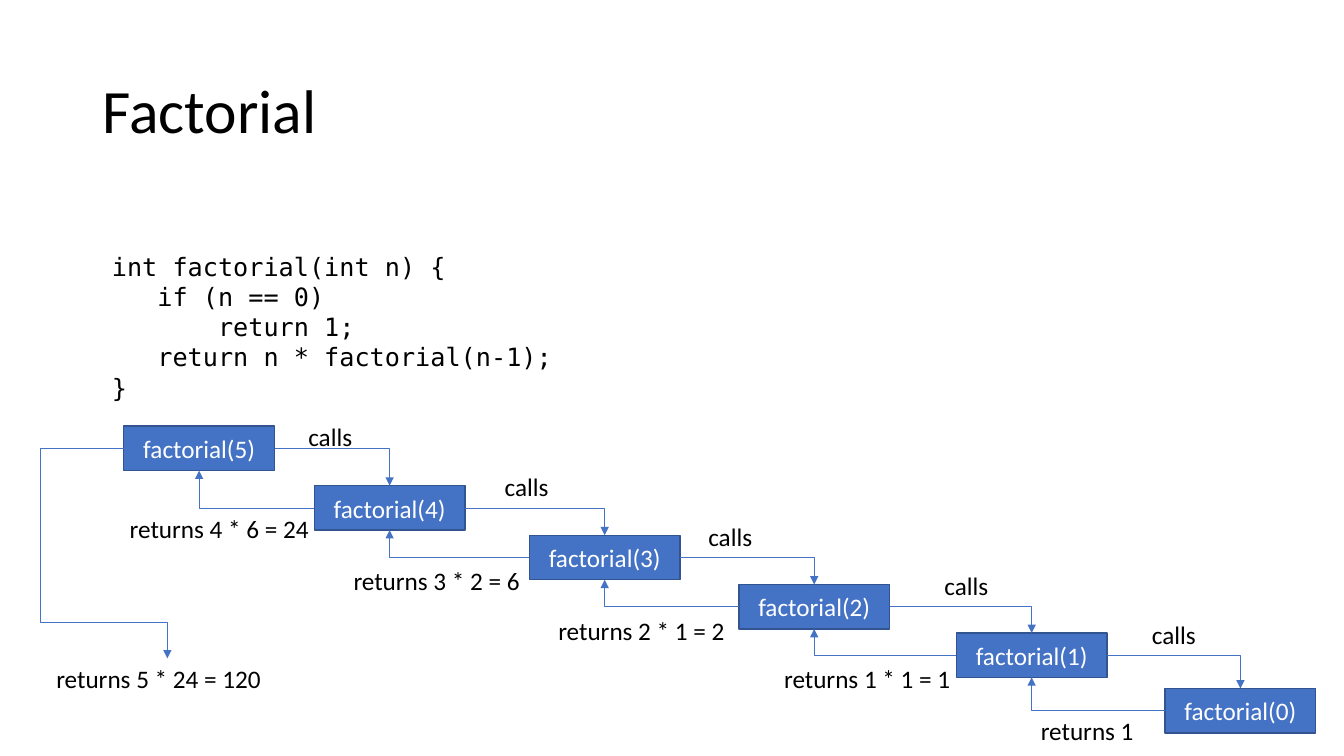
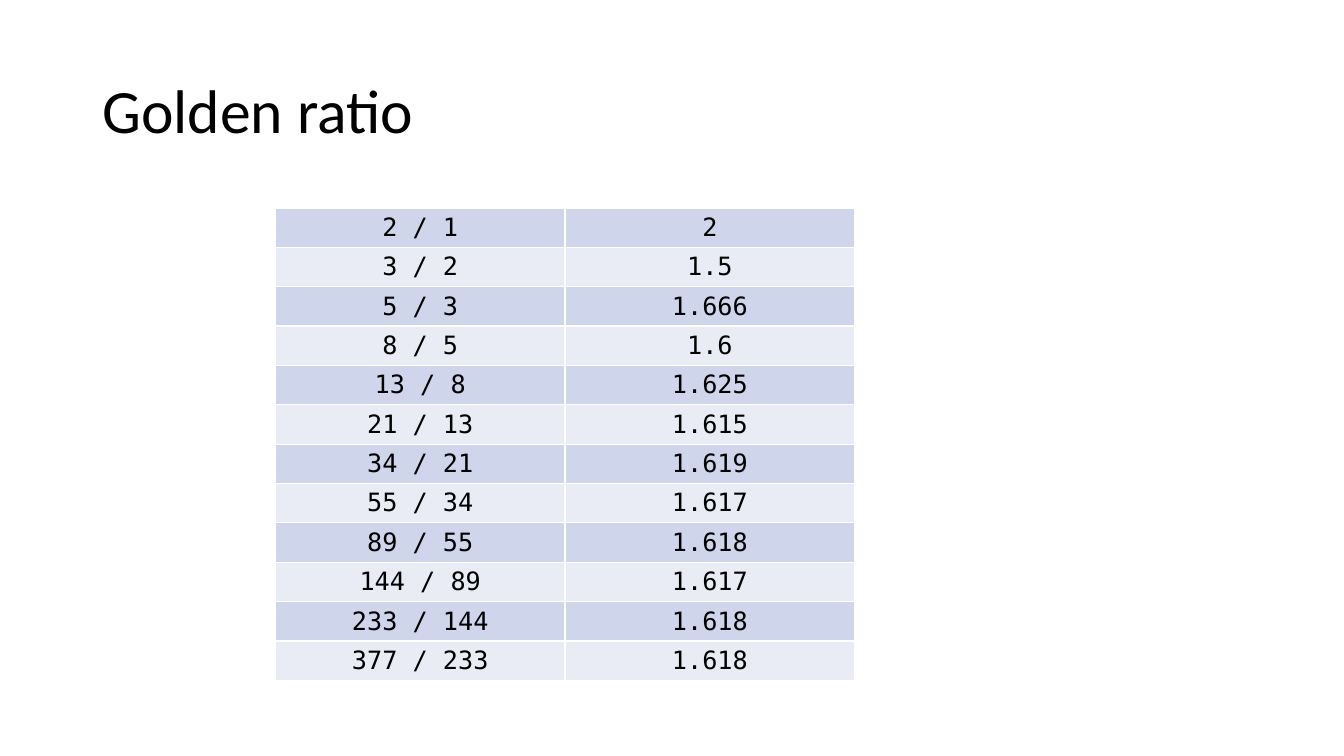
from dataclasses import dataclass

from pptx import Presentation
from pptx import util as u
from pptx.dml.color import RGBColor
from pptx.enum import shapes, text
from pptx.oxml.ns import qn
from lxml import etree


@dataclass(frozen=True)
class Theme:
    ink: str = "000000"
    paper: str = "FFFFFF"
    accent: str = "4472C4"
    outline: str = "325491"
    bands: tuple = ("CFD5EA", "E9EBF5")
    sans: str = "Calibri"
    mono: str = "DejaVu Sans Mono"
    title_size: int = 44
    body_size: int = 18


THEME = Theme()
TOP, LEFT, BOTTOM, RIGHT = range(4)

FACTORIAL_CODE = """int factorial(int n) {
   if (n == 0)
       return 1;
   return n * factorial(n-1);
}"""

FRAMES = [
    ("factorial(5)", 3.12, 10.74),
    ("factorial(4)", 7.92, 12.24),
    ("factorial(3)", 13.34, 13.49),
    ("factorial(2)", 18.62, 14.73),
    ("factorial(1)", 24.1, 15.95),
    ("factorial(0)", 29.36, 17.35),
]
CALL_LABELS = [(7.52, 10.49), (12.47, 11.76), (17.6, 13), (23.55, 14.25), (28.78, 15.49)]
RETURN_LABELS = [
    ("returns 4 * 6 = 24", 3.02, 12.8),
    ("returns 3 * 2 = 6", 8.66, 14.12),
    ("returns 2 * 1 = 2", 13.82, 15.37),
    ("returns 1 * 1 = 1", 19.51, 16.59),
    ("returns 1", 25.98, 17.91),
]


def rgb(value):
    return RGBColor.from_string(value)


def style_text(frame, font, size, color, align=text.PP_ALIGN.LEFT):
    for para in frame.paragraphs:
        para.alignment = align
        for span in para.runs:
            span.font.name = font
            span.font.size = u.Pt(size)
            span.font.color.rgb = rgb(color)


def add_titled_page(deck, title):
    page = deck.slides.add_slide(deck.slide_layouts[5])
    box = page.shapes.title
    box.left, box.top, box.width, box.height = map(u.Cm, (2.33, 1.01, 29.21, 3.68))
    frame = box.text_frame
    frame.text = title
    frame.auto_size = text.MSO_AUTO_SIZE.NONE
    frame.vertical_anchor = text.MSO_ANCHOR.MIDDLE
    frame.paragraphs[0].line_spacing = 0.9
    style_text(frame, THEME.sans, THEME.title_size, THEME.ink)
    return page


def add_label(page, wording, left, top, width, height=1.02, font=THEME.sans):
    box = page.shapes.add_textbox(*map(u.Cm, (left, top, width, height)))
    box.text_frame.word_wrap = True
    box.text_frame.text = wording
    style_text(box.text_frame, font, THEME.body_size, THEME.ink)
    return box


def add_call_frame(page, wording, left, top):
    box = page.shapes.add_shape(
        shapes.MSO_SHAPE.RECTANGLE, *map(u.Cm, (left, top, 3.8, 1.12)))
    box.shadow.inherit = False
    box.fill.solid()
    box.fill.fore_color.rgb = rgb(THEME.accent)
    box.line.color.rgb = rgb(THEME.outline)
    box.line.width = u.Pt(1)
    frame = box.text_frame
    frame.text = wording
    frame.vertical_anchor = text.MSO_ANCHOR.MIDDLE
    style_text(frame, THEME.sans, THEME.body_size, THEME.paper, text.PP_ALIGN.CENTER)
    return box


def add_bent_arrow(page, start, start_side, end, end_side, preset="bentConnector2", bends=()):
    arrow = page.shapes.add_connector(shapes.MSO_CONNECTOR.ELBOW, 0, 0, 0, 0)
    arrow.begin_connect(start, start_side)
    arrow.end_connect(end, end_side)
    arrow.line.color.rgb = rgb(THEME.accent)
    arrow.line.width = u.Pt(0.5)
    properties = arrow.element.spPr
    etree.SubElement(properties.find(qn("a:ln")), qn("a:tailEnd"), type="triangle")
    etree.SubElement(properties, qn("a:effectLst"))
    geometry = properties.find(qn("a:prstGeom"))
    geometry.set("prst", preset)
    guides = geometry.find(qn("a:avLst"))
    for number, bend in enumerate(bends, 1):
        etree.SubElement(guides, qn("a:gd"), name=f"adj{number}", fmla=f"val {bend}")


def add_cell_borders(cell):
    properties = cell._tc.get_or_add_tcPr()
    for position, side in enumerate(("lnL", "lnR", "lnT", "lnB")):
        border = etree.Element(qn(f"a:{side}"), w=str(u.Pt(1)))
        fill = etree.SubElement(border, qn("a:solidFill"))
        etree.SubElement(fill, qn("a:srgbClr"), val=THEME.paper)
        properties.insert(position, border)


def add_banded_table(page, rows, left, top, column_width, row_height):
    columns = len(rows[0])
    size = (column_width * columns, row_height * len(rows))
    table = page.shapes.add_table(
        len(rows), columns, *map(u.Cm, (left, top, *size))).table
    table.first_row = False
    for row_number, row in enumerate(rows):
        for column_number, wording in enumerate(row):
            cell = table.cell(row_number, column_number)
            cell.text = wording
            cell.fill.solid()
            cell.fill.fore_color.rgb = rgb(THEME.bands[row_number % 2])
            add_cell_borders(cell)
            style_text(cell.text_frame, THEME.mono, THEME.body_size, THEME.ink,
                       text.PP_ALIGN.CENTER)


def fibonacci_ratios(count):
    rows = []
    small, large = 1, 2
    for _ in range(count):
        truncated = large * 1000 // small / 1000
        rows.append((f"{large} / {small}", f"{truncated:g}"))
        small, large = large, small + large
    return rows


def build_factorial(deck):
    page = add_titled_page(deck, "Factorial")
    add_label(page, FACTORIAL_CODE, 2.57, 6.2, 13.13, 4.11, THEME.mono)
    frames = [add_call_frame(page, *frame) for frame in FRAMES]
    for caller, callee in zip(frames, frames[1:]):
        add_bent_arrow(page, caller, RIGHT, callee, TOP)
        add_bent_arrow(page, callee, LEFT, caller, BOTTOM)
    for left, top in CALL_LABELS:
        add_label(page, "calls", left, top, 3.8)
    for wording, left, top in RETURN_LABELS:
        add_label(page, wording, left, top, 6.1)
    answer = add_label(page, "returns 5 * 24 = 120", 1.17, 16.59, 6.1)
    add_bent_arrow(page, frames[0], LEFT, answer, TOP, "bentConnector4", (-191900, 82700))


def build_golden_ratio(deck):
    page = add_titled_page(deck, "Golden ratio")
    add_banded_table(page, fibonacci_ratios(12), 6.94, 5.24, 7.3, 0.99)


def main():
    deck = Presentation()
    deck.slide_width, deck.slide_height = u.Cm(33.87), u.Cm(19.05)
    build_factorial(deck)
    build_golden_ratio(deck)
    deck.save("out.pptx")


if __name__ == "__main__":
    main()
